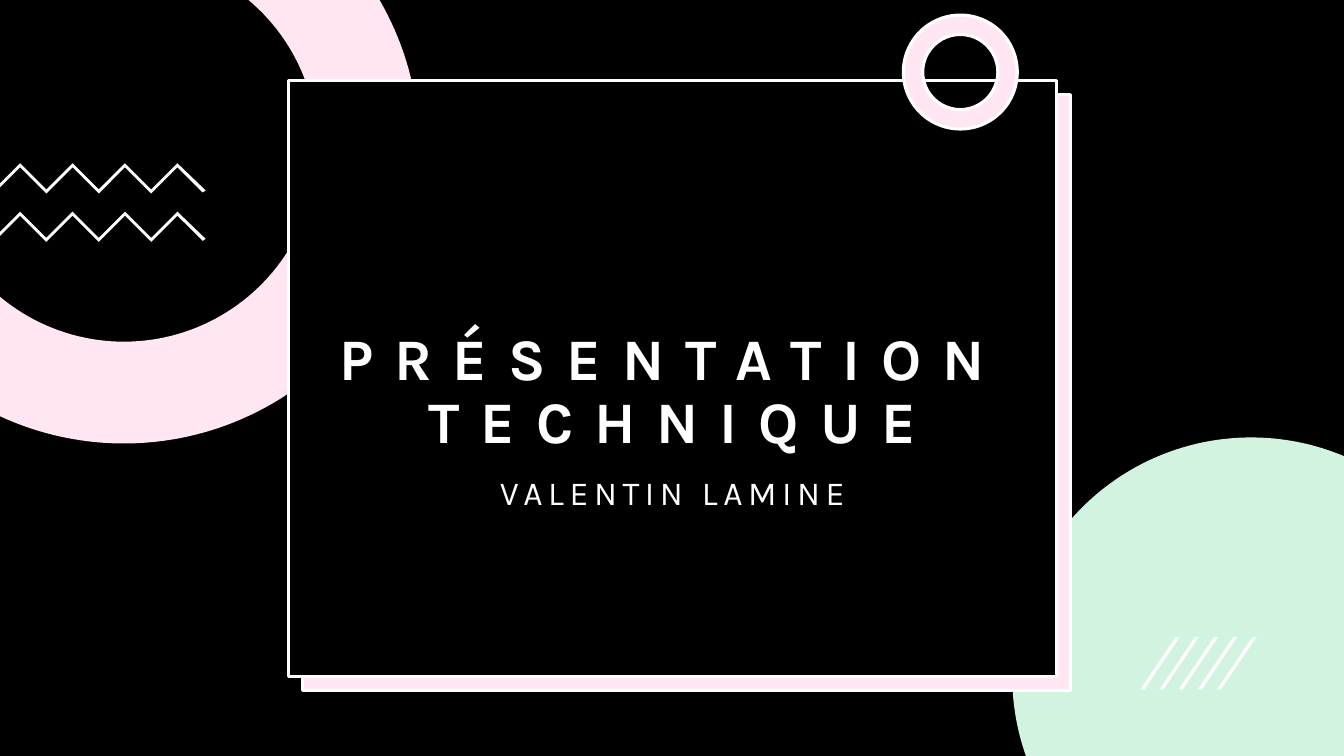
"""Build the title slide of a technical presentation."""
from dataclasses import dataclass
from math import acos, asin, cos, pi, sin

from pptx import Presentation
from pptx.dml.color import RGBColor
from pptx.enum.shapes import MSO_SHAPE
from pptx.enum.text import MSO_ANCHOR, MSO_AUTO_SIZE, PP_ALIGN
from pptx.util import Inches, Pt

RECTANGLE = MSO_SHAPE.RECTANGLE
DONUT = MSO_SHAPE.DONUT
PARALLELOGRAM = MSO_SHAPE.PARALLELOGRAM
CENTER = PP_ALIGN.CENTER
TOP, BOTTOM = MSO_ANCHOR.TOP, MSO_ANCHOR.BOTTOM
NO_AUTOFIT = MSO_AUTO_SIZE.NONE

SLIDE_WIDTH, SLIDE_HEIGHT = 13.33, 7.5


@dataclass(frozen=True)
class Theme:
    """Colours, font and sizes of the slide."""
    black: RGBColor = RGBColor(0x00, 0x00, 0x00)
    white: RGBColor = RGBColor(0xFF, 0xFF, 0xFF)
    pink: RGBColor = RGBColor(0xFF, 0xE6, 0xF2)
    mint: RGBColor = RGBColor(0xD3, 0xF3, 0xE1)
    font: str = "Karla"
    title_size: int = 42
    title_tracking: int = 15
    author_size: int = 24
    author_tracking: int = 4
    outline: float = 2.25


THEME = Theme()


def paint(shape, fill, outlined=False):
    """Give a shape a flat fill and an optional white outline."""
    shape.shadow.inherit = False
    shape.fill.solid()
    shape.fill.fore_color.rgb = fill
    if outlined:
        shape.line.color.rgb = THEME.white
        shape.line.width = Pt(THEME.outline)
    else:
        shape.line.fill.background()


def add_preset(shapes, kind, box, fill, outlined=False, adjustment=None):
    """Add a preset shape in a box given in inches."""
    preset = shapes.add_shape(kind, *map(Inches, box))
    if adjustment is not None:
        preset.adjustments[0] = adjustment
    paint(preset, fill, outlined)


def add_polygon(shapes, points, fill):
    """Add a closed outline through points given in inches."""
    corners = [(Inches(x), Inches(y)) for x, y in points]
    builder = shapes.build_freeform(*corners[0], scale=1.0)
    builder.add_line_segments(corners[1:], close=True)
    paint(builder.convert_to_shape(), fill)


def arc(center, radius, start, end, steps=90):
    """Return points along a circle from one angle to another."""
    angles = [start + (end - start) * step / steps for step in range(steps + 1)]
    return [(center[0] + radius * cos(a), center[1] + radius * sin(a)) for a in angles]


def add_corner_ring(shapes):
    """Add the pink ring cut off by the top left corner."""
    center = x, y = 1.23, 1.47
    outer, inner = [
        arc(center, radius, -asin(y / radius), pi - acos(x / radius))
        for radius in (2.93, 1.92)
    ]
    add_polygon(shapes, outer + inner[::-1], THEME.pink)


def add_corner_disc(shapes):
    """Add the mint disc cut off by the bottom right corner."""
    center = x, y = 12.41, 6.71
    radius = 2.37
    start = pi - asin((SLIDE_HEIGHT - y) / radius)
    end = 2 * pi - acos((SLIDE_WIDTH - x) / radius)
    edge = arc(center, radius, start, end)
    add_polygon(shapes, edge + [(SLIDE_WIDTH, SLIDE_HEIGHT)], THEME.mint)


def add_zigzag(shapes, top):
    """Add a white zigzag ribbon that starts at the left edge."""
    pitch, thickness = 0.26, 0.04
    crest = [(0.2 + pitch * turn, top + pitch * (turn % 2)) for turn in range(7)]
    underside = [(x, y + thickness) for x, y in reversed(crest)]
    right_end = [(2.04, top + 0.27), (2.01, top + 0.29)]
    left_end = [(0, top + 0.24), (0, top + 0.2)]
    add_polygon(shapes, crest + right_end + underside + left_end, THEME.white)


def add_slashes(shapes):
    """Add the group of five slanted strokes."""
    strokes = shapes.add_group_shape().shapes
    for index in range(5):
        box = (11.31 + 0.19 * index, 6.32, 0.39, 0.52)
        add_preset(strokes, PARALLELOGRAM, box, THEME.white, adjustment=0.9)


def set_text(placeholder, box, text, size, tracking, anchor, bold=False):
    """Move a placeholder to the front and fill it with spaced text."""
    placeholder.element.getparent().append(placeholder.element)
    placeholder.left, placeholder.top, placeholder.width, placeholder.height = map(Inches, box)
    frame = placeholder.text_frame
    frame.word_wrap = True
    frame.auto_size = NO_AUTOFIT
    frame.vertical_anchor = anchor
    paragraph = frame.paragraphs[0]
    paragraph.alignment = CENTER
    paragraph.line_spacing = 0.9
    paragraph.space_before = Pt(0)
    run = paragraph.add_run()
    run.text = text
    run.font.name = THEME.font
    run.font.size = Pt(size)
    run.font.bold = bold
    run.font.color.rgb = THEME.white
    run.font._element.set("spc", str(tracking * 100))


def main():
    """Compose the slide and save it."""
    deck = Presentation()
    deck.slide_width, deck.slide_height = Inches(SLIDE_WIDTH), Inches(SLIDE_HEIGHT)
    slide = deck.slides.add_slide(deck.slide_layouts[0])
    slide.background.fill.solid()
    slide.background.fill.fore_color.rgb = THEME.black
    shapes = slide.shapes
    title, author = shapes.title, slide.placeholders[1]

    add_corner_disc(shapes)
    add_preset(shapes, RECTANGLE, (3, 0.94, 7.62, 5.91), THEME.pink, outlined=True)
    add_corner_ring(shapes)
    add_preset(shapes, RECTANGLE, (2.86, 0.8, 7.62, 5.91), THEME.black, outlined=True)
    add_preset(shapes, DONUT, (8.96, 0.15, 1.13, 1.13), THEME.pink, True, adjustment=0.17)
    set_text(title, (3.16, 1.11, 7.02, 3.47), "PRÉSENTATION TECHNIQUE",
             THEME.title_size, THEME.title_tracking, BOTTOM, bold=True)
    set_text(author, (3.16, 4.68, 7.02, 1.71), "VALENTIN LAMINE",
             THEME.author_size, THEME.author_tracking, TOP)
    for top in (1.62, 2.1):
        add_zigzag(shapes, top)
    add_slashes(shapes)

    deck.save("out.pptx")


if __name__ == "__main__":
    main()
